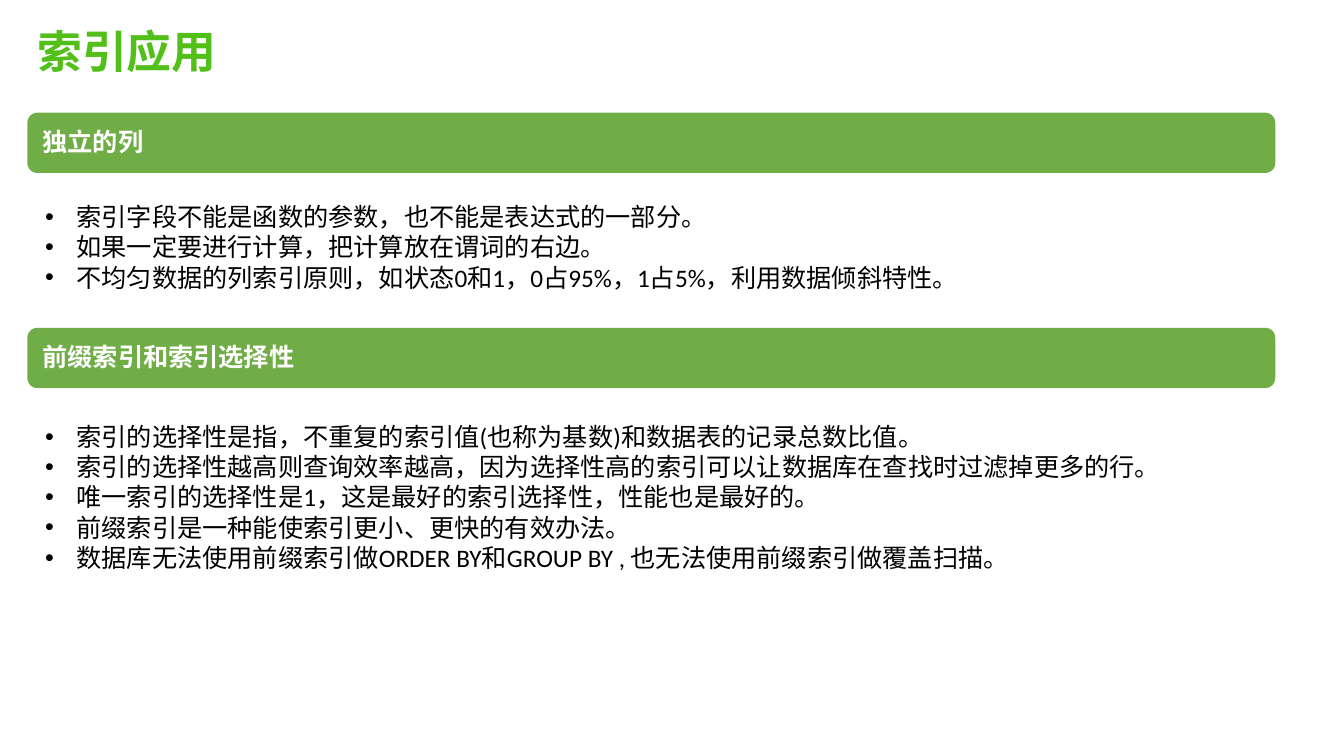
from lxml import etree
from pptx import Presentation
from pptx import util as u
from pptx.dml.color import RGBColor
from pptx.enum import shapes, text
from pptx.oxml import ns

COLOURS = {"title": "52C018", "banner": "70AD47", "heading": "FFFFFF", "body": "000000"}
TITLE_FONT = {"name": "Arial", "size": u.Pt(32), "bold": True}
HEADING_FONT = {"name": "Calibri", "size": u.Pt(18), "bold": True}
BODY_FONT = {"name": "Calibri", "size": u.Pt(18), "bold": False}
GROWING = {"word_wrap": True, "auto_size": text.MSO_AUTO_SIZE.SHAPE_TO_FIT_TEXT}
MARGINS = ("margin_left", "margin_top", "margin_right", "margin_bottom")
CENTRED = {
    "word_wrap": True,
    "vertical_anchor": text.MSO_ANCHOR.MIDDLE,
    **dict.fromkeys(MARGINS, u.Cm(0.18)),
}
BANNER_LEFT, TEXT_LEFT = 0.69, 0.89

SECTIONS = [
    {
        "heading": "独立的列",
        "banner_top": 2.84,
        "body_area": (TEXT_LEFT, 4.95, 31.27, 4.11),
        "points": [
            "索引字段不能是函数的参数，也不能是表达式的一部分。",
            "如果一定要进行计算，把计算放在谓词的右边。",
            "不均匀数据的列索引原则，如状态0和1，0占95%，1占5%，利用数据倾斜特性。",
        ],
    },
    {
        "heading": "前缀索引和索引选择性",
        "banner_top": 8.26,
        "body_area": (TEXT_LEFT, 10.49, 29.36, 4.88),
        "points": [
            "索引的选择性是指，不重复的索引值(也称为基数)和数据表的记录总数比值。",
            "索引的选择性越高则查询效率越高，因为选择性高的索引可以让数据库在查找时过滤掉更多的行。",
            "唯一索引的选择性是1，这是最好的索引选择性，性能也是最好的。",
            "前缀索引是一种能使索引更小、更快的有效办法。",
            "数据库无法使用前缀索引做ORDER BY和GROUP BY , 也无法使用前缀索引做覆盖扫描。",
        ],
    },
]


def apply_format(target, values):
    for name, value in values.items():
        setattr(target, name, value)


def add_text(parent, area, lines, font, colour, frame_format):
    box = parent.shapes.add_textbox(*map(u.Cm, area))
    frame = box.text_frame
    apply_format(frame, frame_format)
    for index, line in enumerate(lines):
        para = frame.add_paragraph() if index else frame.paragraphs[0]
        span = para.add_run()
        span.text = line
        apply_format(span.font, font)
        span.font.color.rgb = RGBColor.from_string(COLOURS[colour])
    return frame.paragraphs


def add_banner(page, top, heading):
    group = page.shapes.add_group_shape()
    bar = group.shapes.add_shape(
        shapes.MSO_SHAPE.ROUNDED_RECTANGLE,
        *map(u.Cm, (BANNER_LEFT, top, 31.45, 1.52)),
    )
    bar.shadow.inherit = False
    bar.fill.solid()
    bar.fill.fore_color.rgb = RGBColor.from_string(COLOURS["banner"])
    bar.line.fill.background()
    area = (TEXT_LEFT, top + 0.08, 31.27, 1.37)
    for para in add_text(group, area, [heading], HEADING_FONT, "heading", CENTRED):
        para.line_spacing = 0.9


def add_bullets(page, area, points):
    for para in add_text(page, area, points, BODY_FONT, "body", GROWING):
        properties = para._p.get_or_add_pPr()
        properties.set("marL", str(u.Cm(0.79)))
        properties.set("indent", str(u.Cm(-0.79)))
        etree.SubElement(properties, ns.qn("a:buFont"), typeface="Arial")
        etree.SubElement(properties, ns.qn("a:buChar"), char="•")


def main():
    deck = Presentation()
    apply_format(deck, {"slide_width": u.Cm(33.87), "slide_height": u.Cm(19.05)})
    page = deck.slides.add_slide(deck.slide_layouts[6])
    add_text(page, (BANNER_LEFT, 0.48, 18.03, 1.63), ["索引应用"], TITLE_FONT, "title", GROWING)
    for section in SECTIONS:
        add_banner(page, section["banner_top"], section["heading"])
        add_bullets(page, section["body_area"], section["points"])
    deck.save("out.pptx")


main()
